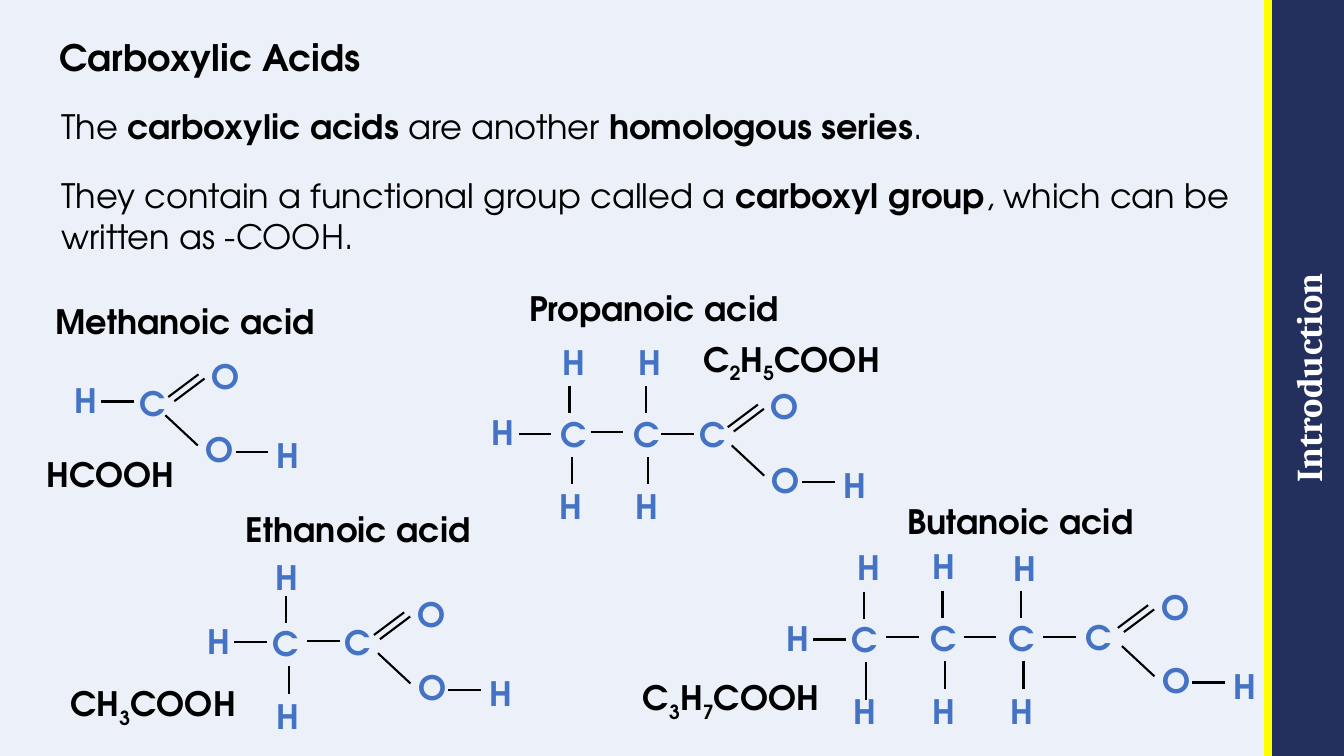
from dataclasses import dataclass
from typing import Any, NamedTuple

from pptx import Presentation
from pptx.dml.color import RGBColor
from pptx.enum.shapes import MSO_CONNECTOR, MSO_SHAPE
from pptx.enum.text import MSO_ANCHOR, MSO_AUTO_SIZE, PP_ALIGN
from pptx.oxml.ns import qn
from pptx.util import Pt

BLACK = RGBColor(0x00, 0x00, 0x00)
WHITE = RGBColor(0xFF, 0xFF, 0xFF)
ATOM_BLUE = RGBColor(0x44, 0x72, 0xC4)
NAVY = RGBColor(0x23, 0x2F, 0x5D)
YELLOW = RGBColor(0xFF, 0xFF, 0x00)
PALE_BLUE = RGBColor(0xEC, 0xF1, 0xF9)

BODY_FONT = "TeX Gyre Adventor"
SIDEBAR_FONT = "Cambria"
LINE_HEIGHT = 36.4
BOND_LENGTH = 23.2
STEM_LENGTH = 19.5
ATOM_WIDTHS = {"H": 31, "C": 34.6, "O": 34.6}

NO_INSETS = {
    "margin_left": 0,
    "margin_top": 0,
    "margin_right": 0,
    "margin_bottom": 0,
}


class Point(NamedTuple):
    x: float
    y: float

    def shifted(self, dx: float, dy: float) -> "Point":
        return Point(self.x + dx, self.y + dy)


class Span(NamedTuple):
    text: str
    bold: bool = True
    subscript: bool = False


@dataclass
class TextBlock:
    corner: Point
    width: float
    spans: list[Span]
    lines: int = 1


@dataclass
class ChainCarbon:
    stem: Point
    top_hydrogen: Point
    carbon_x: float
    next_bond: Point
    lower_length: float = STEM_LENGTH


@dataclass
class Acid:
    first_hydrogen: Point
    chain: list[ChainCarbon]
    carboxyl_carbon: Point
    hydroxyl_bond: Point
    double_bond_shift: float = 0


def plain(text: str) -> Span:
    return Span(text, bold=False)


def sub(text: str) -> Span:
    return Span(text, subscript=True)


def apply(target: Any, values: dict[str, Any]) -> None:
    for attribute, value in values.items():
        setattr(target, attribute, value)


def format_font(font: Any, size: float, color: RGBColor, name: str = BODY_FONT, bold: bool = True) -> None:
    apply(font, {"name": name, "size": Pt(size), "bold": bold})
    font.color.rgb = color


def draw_text(slide: Any, block: TextBlock, color: RGBColor = BLACK, wrap: bool = True) -> None:
    box = slide.shapes.add_textbox(
        Pt(block.corner.x), Pt(block.corner.y), Pt(block.width), Pt(block.lines * LINE_HEIGHT)
    )
    apply(box.text_frame, {"word_wrap": wrap, "auto_size": MSO_AUTO_SIZE.SHAPE_TO_FIT_TEXT})
    paragraph = box.text_frame.paragraphs[0]
    for span in block.spans:
        run = paragraph.add_run()
        run.text = span.text
        format_font(run.font, 24, color, bold=span.bold)
        if span.subscript:
            run._r.get_or_add_rPr().set("baseline", "-25000")


def draw_line(slide: Any, start: Point, end: Point, color: RGBColor = BLACK, width: float = 1.5) -> None:
    line = slide.shapes.add_connector(
        MSO_CONNECTOR.STRAIGHT, Pt(start.x), Pt(start.y), Pt(end.x), Pt(end.y)
    )
    line.line.color.rgb = color
    line.line.width = Pt(width)
    properties = line._element.spPr
    properties.append(properties.makeelement(qn("a:effectLst"), {}))


def draw_bond(slide: Any, start: Point, dx: float, dy: float) -> None:
    draw_line(slide, start, start.shifted(dx, dy))


def draw_atom(slide: Any, symbol: str, corner: Point) -> None:
    draw_text(slide, TextBlock(corner, ATOM_WIDTHS[symbol], [Span(symbol)]), ATOM_BLUE, wrap=False)


def draw_chain_carbon(slide: Any, carbon: ChainCarbon) -> None:
    stem = carbon.stem
    draw_bond(slide, stem, 0, STEM_LENGTH)
    draw_bond(slide, stem.shifted(1.7, 50.5), 0, carbon.lower_length)
    draw_bond(slide, carbon.next_bond, BOND_LENGTH, 0)
    draw_atom(slide, "H", carbon.top_hydrogen)
    draw_atom(slide, "C", Point(carbon.carbon_x, stem.y + 16))
    draw_atom(slide, "H", stem.shifted(-14.4, 67.7))


def draw_carboxyl(slide: Any, acid: Acid) -> None:
    origin = acid.hydroxyl_bond
    double = origin.shifted(acid.double_bond_shift, 0)
    for start in (double.shifted(-2.9, -13), double.shifted(1.4, -10)):
        draw_bond(slide, start, 21.6, -16.2)
    draw_bond(slide, origin, BOND_LENGTH, 21.6)
    draw_bond(slide, origin.shifted(50.2, 26), BOND_LENGTH, 0)
    draw_atom(slide, "C", acid.carboxyl_carbon)
    draw_atom(slide, "O", double.shifted(20.9, -46.1))
    draw_atom(slide, "O", origin.shifted(21.6, 6.5))
    draw_atom(slide, "H", origin.shifted(72.5, 10.5))


def draw_acid(slide: Any, acid: Acid) -> None:
    draw_atom(slide, "H", acid.first_hydrogen)
    draw_bond(slide, acid.first_hydrogen.shifted(26.4, 19), BOND_LENGTH, 0)
    for carbon in acid.chain:
        draw_chain_carbon(slide, carbon)
    draw_carboxyl(slide, acid)


def draw_sidebar(slide: Any) -> None:
    sidebar = slide.shapes.add_shape(MSO_SHAPE.RECTANGLE, Pt(664), Pt(244), Pt(540), Pt(52))
    sidebar.rotation = 270
    sidebar.shadow.inherit = False
    sidebar.fill.solid()
    sidebar.fill.fore_color.rgb = NAVY
    sidebar.line.fill.background()
    apply(sidebar.text_frame, NO_INSETS | {"vertical_anchor": MSO_ANCHOR.MIDDLE})
    section = sidebar.text_frame.paragraphs[0]
    apply(section, {"text": "Introduction", "alignment": PP_ALIGN.CENTER})
    format_font(section.runs[0].font, 26, WHITE, SIDEBAR_FONT)
    draw_line(slide, Point(905.8, 0), Point(905.8, 540), YELLOW, 6)


def draw_title(slide: Any) -> None:
    title = slide.shapes.title
    apply(title, {"left": Pt(42.5), "top": Pt(0), "width": Pt(836), "height": Pt(57)})
    apply(title.text_frame, NO_INSETS | {
        "vertical_anchor": MSO_ANCHOR.BOTTOM, "word_wrap": True, "auto_size": MSO_AUTO_SIZE.NONE,
    })
    heading = title.text_frame.paragraphs[0]
    apply(heading, {"text": "Carboxylic Acids", "alignment": PP_ALIGN.LEFT, "line_spacing": 0.9})
    format_font(heading.runs[0].font, 26, BLACK)


TEXT_BLOCKS = [
    TextBlock(Point(36.7, 72), 857, [
        plain("The "), Span("carboxylic acids "), plain("are another "),
        Span("homologous series"), plain("."),
    ]),
    TextBlock(Point(36.7, 121.7), 857, [
        plain("They contain a functional group called a "), Span("carboxyl group"),
        plain(", which can be written as -COOH."),
    ], lines=1.8),
    TextBlock(Point(32.4, 211.7), 251, [Span("Methanoic acid")]),
    TextBlock(Point(168.5, 360), 251, [Span("Ethanoic acid")]),
    TextBlock(Point(370.8, 202.3), 251, [Span("Propanoic acid")]),
    TextBlock(Point(640.8, 354.2), 251, [Span("Butanoic acid")]),
    TextBlock(Point(25.9, 320.4), 118, [Span("HCOOH")]),
    TextBlock(Point(43.2, 484.6), 138, [Span("CH"), sub("3"), Span("COOH")]),
    TextBlock(Point(495.4, 238.3), 188, [Span("C"), sub("2"), Span("H"), sub("5"), Span("COOH")]),
    TextBlock(Point(452.2, 480.2), 152, [Span("C"), sub("3"), Span("H"), sub("7"), Span("COOH")]),
]

ACIDS = [
    Acid(Point(46.1, 267.8), [], Point(92.9, 270), Point(118.1, 296.6), double_bond_shift=5),
    Acid(Point(141.1, 439.9), [
        ChainCarbon(Point(204.5, 425.5), Point(189.4, 394.6), 187.9, Point(219.6, 457.9)),
    ], Point(239, 440.6), Point(270, 466.6)),
    Acid(Point(344.2, 290.9), [
        ChainCarbon(Point(406.8, 275.8), Point(394.6, 240.5), 393.1, Point(421.9, 308.9)),
        ChainCarbon(Point(461.5, 275.8), Point(449.3, 240.5), 445.7, Point(472.3, 310.3)),
    ], Point(492.5, 292.3), Point(522.7, 318.2)),
    Acid(Point(554.4, 437.8), [
        ChainCarbon(Point(617, 422.6), Point(605.5, 387.4), 601.2, Point(632.9, 455), 26.6),
        ChainCarbon(Point(673.2, 422), Point(658.8, 386.6), 657.4, Point(688.3, 455)),
        ChainCarbon(Point(729.4, 422), Point(717.1, 388.1), 713.5, Point(745.2, 455)),
    ], Point(768.2, 437), Point(801.4, 461.5)),
]


def main() -> None:
    deck = Presentation()
    apply(deck, {"slide_width": Pt(960), "slide_height": Pt(540)})
    slide = deck.slides.add_slide(deck.slide_layouts[5])
    slide.background.fill.solid()
    slide.background.fill.fore_color.rgb = PALE_BLUE
    draw_sidebar(slide)
    draw_title(slide)
    for block in TEXT_BLOCKS:
        draw_text(slide, block)
    for acid in ACIDS:
        draw_acid(slide, acid)
    deck.save("out.pptx")


if __name__ == "__main__":
    main()
